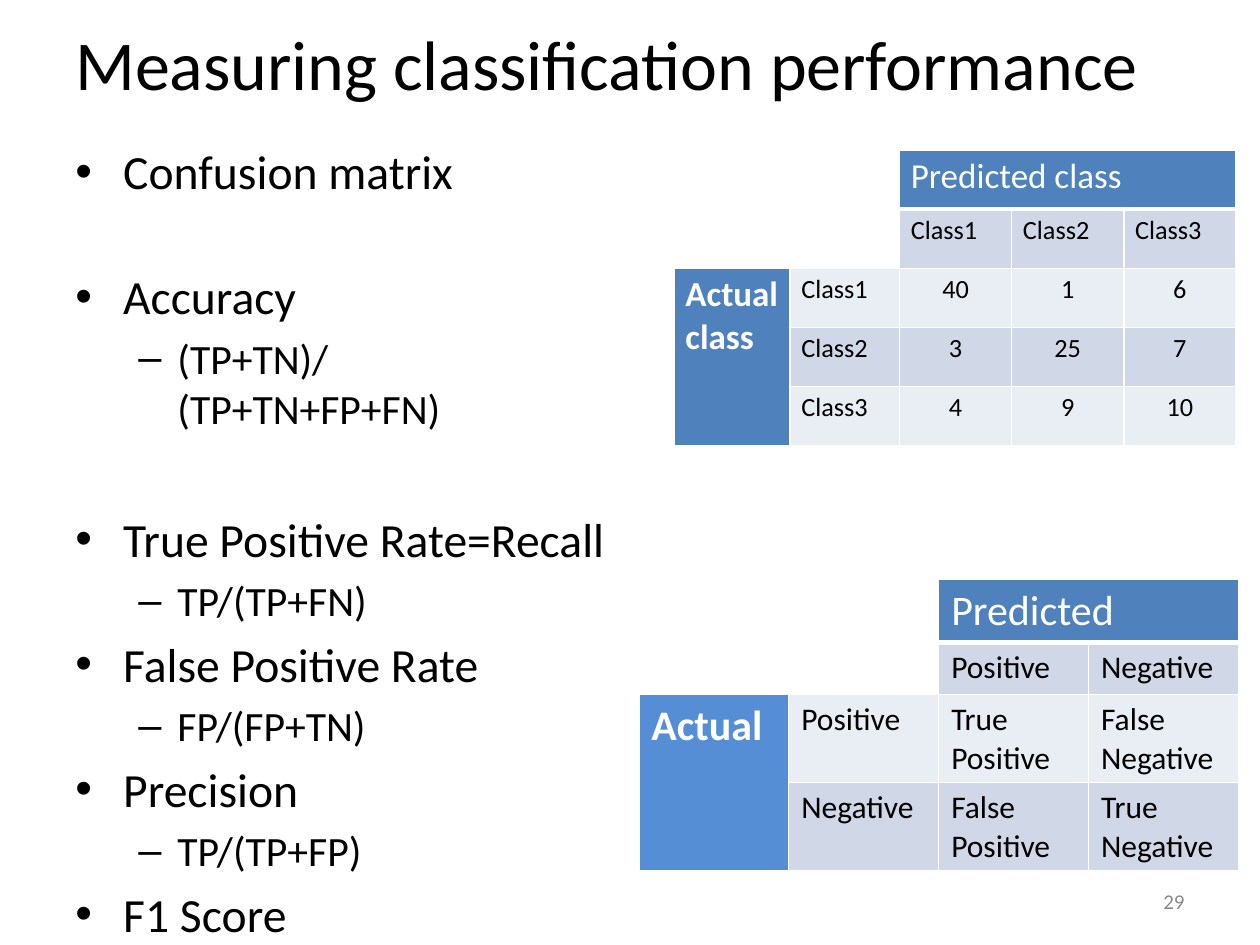
from lxml.etree import SubElement
from pptx import Presentation
from pptx.dml.color import RGBColor
from pptx.enum.text import MSO_ANCHOR as ANCHOR, PP_ALIGN as ALIGN
from pptx.oxml.ns import qn
from pptx.util import Inches, Pt

FONT = "Calibri"
COLORS = {"text": "000000", "white": "FFFFFF", "number": "898989",
          "header": "4F81BD", "actual": "558ED5", "dark": "D0D8E8", "light": "E9EDF4"}

TITLE = "Measuring classification performance"
PAGE = "29"

# level, lines, space before in points
OUTLINE = [
    (0, ["Confusion matrix"], 0),
    (0, ["Accuracy"], 38.6),
    (1, ["(TP+TN)/", "(TP+TN+FP+FN)"], 4.8),
    (0, ["True Positive Rate=Recall"], 44),
    (1, ["TP/(TP+FN)"], 4.8),
    (0, ["False Positive Rate"], 5.4),
    (1, ["FP/(FP+TN)"], 4.8),
    (0, ["Precision"], 5.4),
    (1, ["TP/(TP+FP)"], 4.8),
    (0, ["F1 Score"], 5.4),
]
# bullet, text size, left margin, hanging indent
LEVELS = [("•", 27.2, 0.38, 0.38), ("–", 23.8, 0.81, 0.31)]

CONFUSION = dict(
    at=(5.35, 1.19), cols=[0.92, 0.87, 0.89, 0.89, 0.89], rows=[0.47] * 5,
    cells=[
        ["", "", "Predicted class", "", ""],
        ["", "", "Class1", "Class2", "Class3"],
        ["Actual\nclass", "Class1", "40", "1", "6"],
        ["", "Class2", "3", "25", "7"],
        ["", "Class3", "4", "9", "10"],
    ],
    head_size=20, size=15, margins=(0.09, 0.04), side="header", values=ALIGN.CENTER)
OUTCOMES = dict(
    at=(5.07, 4.6), cols=[1.19] * 4, rows=[0.5, 0.41, 0.7, 0.7],
    cells=[
        ["", "", "Predicted", ""],
        ["", "", "Positive", "Negative"],
        ["Actual", "Positive", "True Positive", "False Negative"],
        ["", "Negative", "False Positive", "True Negative"],
    ],
    head_size=24, size=18, margins=(0.1, 0.05), side="actual", values=ALIGN.LEFT)


def rgb(name):
    return RGBColor.from_string(COLORS[name])


def add_run(p, text, size, color="text", bold=False):
    r = p.add_run()
    r.text = text
    r.font.name, r.font.size, r.font.bold = FONT, Pt(size), bold
    r.font.color.rgb = rgb(color)


def add_box(slide, left, top, width, height, anchor):
    tf = slide.shapes.add_textbox(*map(Inches, (left, top, width, height))).text_frame
    tf.word_wrap = True
    tf.vertical_anchor = anchor
    return tf


def add_outline(tf):
    for i, (level, lines, before) in enumerate(OUTLINE):
        bullet, size, margin, hang = LEVELS[level]
        p = tf.add_paragraph() if i else tf.paragraphs[0]
        p.level = level
        p.space_before = Pt(before)
        pPr = p._p.get_or_add_pPr()
        pPr.set("marL", str(Inches(margin)))
        pPr.set("indent", str(-Inches(hang)))
        SubElement(pPr, qn("a:buFont")).set("typeface", "Arial")
        SubElement(pPr, qn("a:buChar")).set("char", bullet)
        for j, line in enumerate(lines):
            if j:
                p.add_line_break()
            add_run(p, line, size)


def set_borders(cell, bottom):
    tcPr = cell._tc.get_or_add_tcPr()
    for i, (side, width) in enumerate(zip("LRTB", (1, 1, 1, bottom))):
        ln = tcPr.makeelement(qn(f"a:ln{side}"), {"w": str(Pt(width))})
        fill = SubElement(ln, qn("a:solidFill"))
        SubElement(fill, qn("a:srgbClr")).set("val", COLORS["white"])
        tcPr.insert(i, ln)


def add_matrix(slide, at, cols, rows, cells, head_size, size, margins, side, values):
    """Table with an empty 2 x 2 corner, a merged top header and a merged side header."""
    box = map(Inches, (*at, sum(cols), sum(rows)))
    table = slide.shapes.add_table(len(rows), len(cols), *box).table
    table.first_row = table.horz_banding = False
    for col, width in zip(table.columns, cols):
        col.width = Inches(width)
    for row, height in zip(table.rows, rows):
        row.height = Inches(height)

    for i, row in enumerate(cells):
        for j, text in enumerate(row):
            cell = table.cell(i, j)
            cell.margin_left = cell.margin_right = Inches(margins[0])
            cell.margin_top = cell.margin_bottom = Inches(margins[1])
            top_head, side_head = i == 0, j == 0
            if i < 2 and j < 2:
                cell.fill.background()
            else:
                band = "dark" if i % 2 else "light"
                cell.fill.solid()
                cell.fill.fore_color.rgb = rgb(
                    "header" if top_head else side if side_head else band)
            set_borders(cell, bottom=3 if top_head else 1)
            if not text:
                continue
            head = top_head or side_head
            for k, line in enumerate(text.split("\n")):
                tf = cell.text_frame
                p = tf.add_paragraph() if k else tf.paragraphs[0]
                p.alignment = values if i > 1 and j > 1 else ALIGN.LEFT
                add_run(p, line, head_size if head else size,
                        "white" if head else "text", side_head)

    table.cell(0, 2).merge(table.cell(0, len(cols) - 1))
    table.cell(2, 0).merge(table.cell(len(rows) - 1, 0))


def main():
    prs = Presentation()
    prs.slide_width, prs.slide_height = Inches(10), Inches(7.5)
    slide = prs.slides.add_slide(prs.slide_layouts[6])

    title = add_box(slide, 0.5, 0, 9, 1, ANCHOR.MIDDLE)
    add_run(title.paragraphs[0], TITLE, 40)
    add_outline(add_box(slide, 0.5, 1.08, 6.33, 6.25, ANCHOR.TOP))
    for matrix in (CONFUSION, OUTCOMES):
        add_matrix(slide, **matrix)
    number = add_box(slide, 7.17, 6.95, 2.33, 0.4, ANCHOR.MIDDLE).paragraphs[0]
    number.alignment = ALIGN.RIGHT
    add_run(number, PAGE, 12, "number")

    prs.save("out.pptx")


if __name__ == "__main__":
    main()
